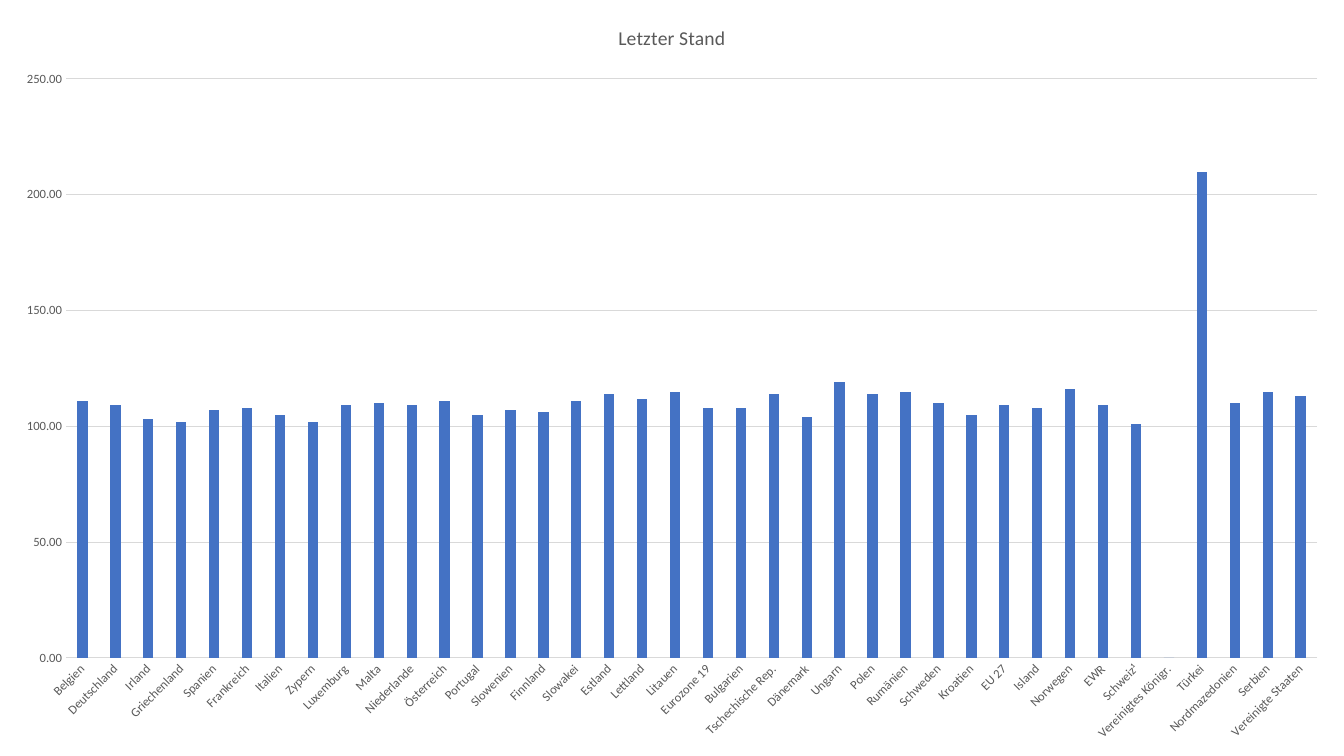
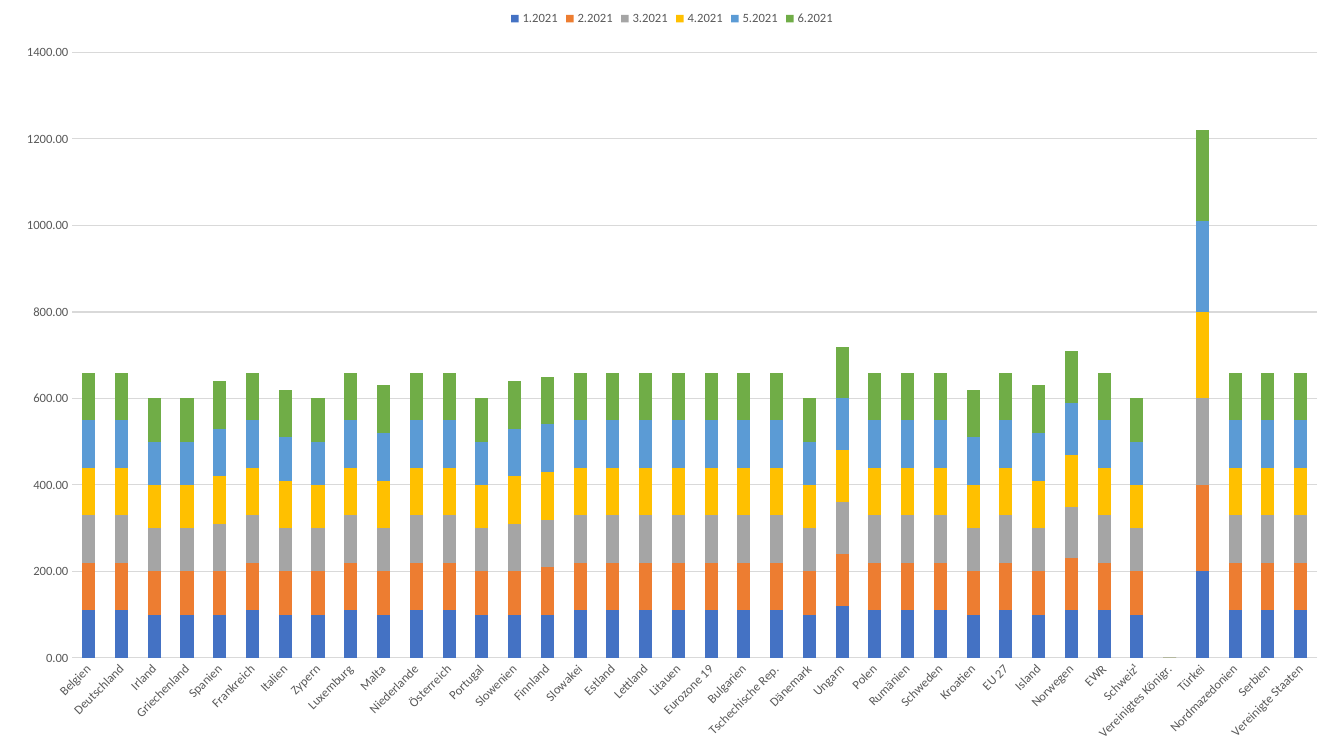
"""Build two column chart slides of price indices by country."""
import dataclasses

import pptx
import pptx.chart.data
import pptx.dml.color
import pptx.enum.chart
import pptx.util

Cm, Pt = pptx.util.Cm, pptx.util.Pt
RGB = pptx.dml.color.RGBColor.from_string
Kind = pptx.enum.chart.XL_CHART_TYPE
Tick = pptx.enum.chart.XL_TICK_MARK


@dataclasses.dataclass(frozen=True)
class Theme:
    face: str = "Calibri"
    ink: str = "595959"
    rule: str = "D9D9D9"
    fills: tuple = ("4472C4", "ED7D31", "A5A5A5", "FFC000", "5B9BD5", "70AD47")
    title: float = 14
    base: float = 10
    label: float = 9
    line: float = 0.75


theme = Theme()
wide, high = Cm(33.87), Cm(19.05)
lands = [
    "Belgien", "Deutschland", "Irland", "Griechenland", "Spanien",
    "Frankreich", "Italien", "Zypern", "Luxemburg", "Malta", "Niederlande",
    "Österreich", "Portugal", "Slowenien", "Finnland", "Slowakei", "Estland",
    "Lettland", "Litauen", "Eurozone 19", "Bulgarien", "Tschechische Rep.",
    "Dänemark", "Ungarn", "Polen", "Rumänien", "Schweden", "Kroatien",
    "EU 27", "Island", "Norwegen", "EWR", "Schweiz¹", "Vereinigtes Königr.",
    "Türkei", "Nordmazedonien", "Serbien", "Vereinigte Staaten",
]
latest = {
    "Letzter Stand": [
        111, 109, 103, 102, 107, 108, 105, 102, 109, 110, 109, 111, 105,
        107, 106, 111, 114, 112, 115, 108, 108, 114, 104, 119, 114, 115,
        110, 105, 109, 108, 116, 109, 101, 0, 210, 110, 115, 113],
}
months = {
    "1.2021": [
        110, 110, 100, 100, 100, 110, 100, 100, 110, 100, 110, 110, 100,
        100, 100, 110, 110, 110, 110, 110, 110, 110, 100, 120, 110, 110,
        110, 100, 110, 100, 110, 110, 100, 0, 200, 110, 110, 110],
    "2.2021": [
        110, 110, 100, 100, 100, 110, 100, 100, 110, 100, 110, 110, 100,
        100, 110, 110, 110, 110, 110, 110, 110, 110, 100, 120, 110, 110,
        110, 100, 110, 100, 120, 110, 100, 0, 200, 110, 110, 110],
    "3.2021": [
        110, 110, 100, 100, 110, 110, 100, 100, 110, 100, 110, 110, 100,
        110, 110, 110, 110, 110, 110, 110, 110, 110, 100, 120, 110, 110,
        110, 100, 110, 100, 120, 110, 100, 0, 200, 110, 110, 110],
    "4.2021": [
        110, 110, 100, 100, 110, 110, 110, 100, 110, 110, 110, 110, 100,
        110, 110, 110, 110, 110, 110, 110, 110, 110, 100, 120, 110, 110,
        110, 100, 110, 110, 120, 110, 100, 0, 200, 110, 110, 110],
    "5.2021": [
        110, 110, 100, 100, 110, 110, 100, 100, 110, 110, 110, 110, 100,
        110, 110, 110, 110, 110, 110, 110, 110, 110, 100, 120, 110, 110,
        110, 110, 110, 110, 120, 110, 100, 0, 210, 110, 110, 110],
    "6.2021": [
        110, 110, 100, 100, 110, 110, 110, 100, 110, 110, 110, 110, 100,
        110, 110, 110, 110, 110, 110, 110, 110, 110, 100, 120, 110, 110,
        110, 110, 110, 110, 120, 110, 100, 0, 210, 110, 110, 110],
}


def style(font, size):
    font.name = theme.face
    font.size = Pt(size)
    font.bold = False
    font.color.rgb = RGB(theme.ink)


def draw(line):
    line.color.rgb = RGB(theme.rule)
    line.width = Pt(theme.line)


deck = pptx.Presentation()
deck.slide_width, deck.slide_height = wide, high

for kind, table, title, gap, lap, top, step in (
    (Kind.COLUMN_CLUSTERED, latest, "Letzter Stand", 219, -27, 250, 50),
    (Kind.COLUMN_STACKED, months, None, 150, 100, 1400, 200),
):
    slide = deck.slides.add_slide(deck.slide_layouts[6])
    data = pptx.chart.data.CategoryChartData(number_format="0.00")
    data.categories = lands
    for name, vals in table.items():
        data.add_series(name, vals)
    chart = slide.shapes.add_chart(kind, 0, 0, wide, high, data).chart
    chart.font.name = theme.face
    chart.font.size = Pt(theme.base)

    chart.has_title = title is not None
    if title:
        run = chart.chart_title.text_frame.paragraphs[0].add_run()
        run.text = title
        style(run.font, theme.title)
        chart.chart_title.include_in_layout = False

    chart.has_legend = title is None
    if chart.has_legend:
        chart.legend.position = pptx.enum.chart.XL_LEGEND_POSITION.TOP
        chart.legend.include_in_layout = False
        style(chart.legend.font, theme.label)

    plot = chart.plots[0]
    plot.vary_by_categories = False
    plot.gap_width, plot.overlap = gap, lap
    for row, fill in zip(plot.series, theme.fills):
        row.format.fill.solid()
        row.format.fill.fore_color.rgb = RGB(fill)
        row.invert_if_negative = False

    base, scale = chart.category_axis, chart.value_axis
    for axis in (base, scale):
        axis.major_tick_mark = axis.minor_tick_mark = Tick.NONE
        style(axis.tick_labels.font, theme.label)
    draw(base.format.line)
    base._element.txPr.bodyPr.set("rot", "-2700000")
    scale.format.line.fill.background()
    scale.has_major_gridlines = True
    draw(scale.major_gridlines.format.line)
    scale.minimum_scale, scale.maximum_scale = 0, top
    scale.major_unit = step
    scale.tick_labels.number_format = "0.00"
    scale.tick_labels.number_format_is_linked = False

deck.save("out.pptx")
